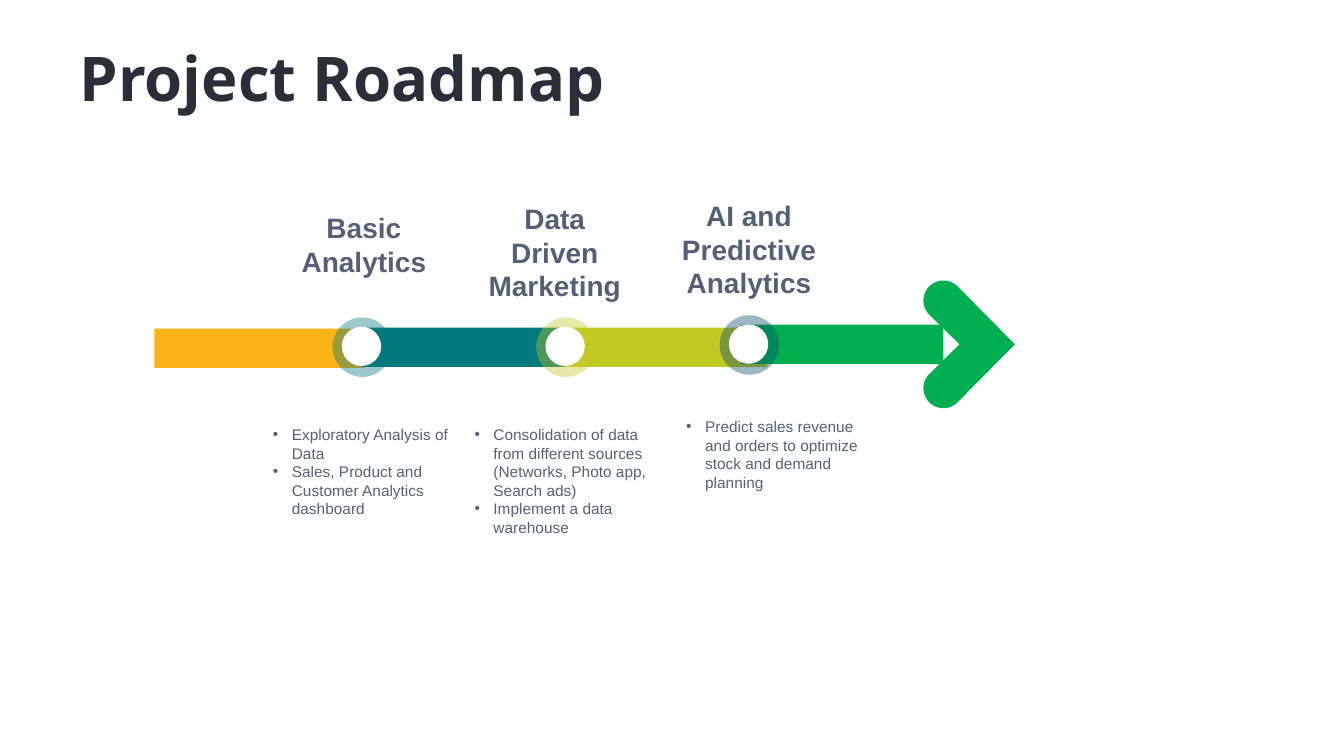
from math import cos, radians, sin

from lxml.etree import SubElement
from pptx import Presentation
from pptx.dml.color import RGBColor
from pptx.enum.shapes import MSO_SHAPE
from pptx.enum.text import MSO_ANCHOR, MSO_AUTO_SIZE, PP_ALIGN
from pptx.oxml.ns import qn
from pptx.util import Pt

COLORS = {
    "title": "282F39",
    "text": "536176",
    "amber": "FCB414",
    "teal": "007A7D",
    "lime": "C2C923",
    "green": "00B050",
    "navy": "074D67",
    "white": "FFFFFF",
}
BAR_HEIGHT = 28.1
RING_SIZE = 42.5
HOLE_SIZE = 28.1
BULLET_INDENT = 13.5

BARS = [
    (110.2, 234.7, 149.8, "amber"),
    (258.5, 234, 144.7, "teal"),
    (403.2, 234, 144.7, "lime"),
    (529.2, 231.8, 144.7, "green"),
]
MILESTONES = [
    {
        "center": (258.8, 248), "ring": "teal",
        "heading": ("Basic Analytics", 207.4, 146.9, 105.1, 55.4),
        "list": (187.9, 300.2, 144, 74.2),
        "items": ["Exploratory Analysis of Data",
                  "Sales, Product and Customer Analytics dashboard"],
    },
    {
        "center": (404.3, 248), "ring": "lime",
        "heading": ("Data Driven Marketing", 336.2, 140.4, 120.2, 80.6),
        "list": (331.9, 300.2, 148.3, 87.1),
        "items": ["Consolidation of data from different sources "
                  "(Networks, Photo app, Search ads)",
                  "Implement a data warehouse"],
    },
    {
        "center": (535.3, 246.4), "ring": "navy",
        "heading": ("AI and Predictive Analytics", 473.8, 138.2, 122.4, 80.6),
        "list": (483.1, 294.5, 144, 47.5),
        "items": ["Predict sales revenue and orders to optimize stock and demand planning"],
    },
]


class Roadmap:
    """Draws roadmap elements on one page in a shared style."""

    def __init__(self, page):
        self.page = page

    def paint(self, shape, color, opacity=None):
        shape.shadow.inherit = False
        shape.fill.solid()
        shape.fill.fore_color.rgb = RGBColor.from_string(COLORS[color])
        shape.line.fill.background()
        if opacity is not None:
            tint = shape.fill._xPr.find(qn("a:solidFill"))[0]
            SubElement(tint, qn("a:alpha"), val=str(opacity * 1000))

    def bar(self, left, top, width, color):
        bar = self.page.shapes.add_shape(
            MSO_SHAPE.RECTANGLE, Pt(left), Pt(top), Pt(width), Pt(BAR_HEIGHT))
        self.paint(bar, color)

    def arrowhead(self, tip, inner, caps, radius, color):
        def cap(center, start):
            return [(center[0] + radius * cos(radians(start - turn)),
                     center[1] + radius * sin(radians(start - turn)))
                    for turn in range(0, 181, 6)]

        upper, lower = caps
        points = [tip, *cap(upper, -45), inner, *cap(lower, -135)]
        corners = [(Pt(x), Pt(y)) for x, y in points]
        outline = self.page.shapes.build_freeform(*corners[0])
        outline.add_line_segments(corners[1:], close=True)
        self.paint(outline.convert_to_shape(), color)

    def marker(self, center, color):
        group = self.page.shapes.add_group_shape()
        x, y = center
        for size, shift, fill, opacity in (
                (RING_SIZE, 0, color, 40), (HOLE_SIZE, -0.6, "white", None)):
            circle = group.shapes.add_shape(
                MSO_SHAPE.OVAL, Pt(x + shift - size / 2), Pt(y + shift - size / 2),
                Pt(size), Pt(size))
            self.paint(circle, fill, opacity)

    def text(self, lines, left, top, width, height, size, color="text", font="Arial",
             bold=False, align=PP_ALIGN.LEFT, bullets=False, spacing=None,
             anchor=MSO_ANCHOR.TOP, grow=True):
        box = self.page.shapes.add_textbox(Pt(left), Pt(top), Pt(width), Pt(height))
        frame = box.text_frame
        frame.word_wrap = True
        frame.vertical_anchor = anchor
        frame.auto_size = MSO_AUTO_SIZE.SHAPE_TO_FIT_TEXT if grow else MSO_AUTO_SIZE.NONE
        for index, line in enumerate(lines):
            para = frame.add_paragraph() if index else frame.paragraphs[0]
            para.text = line
            para.alignment = align
            if spacing:
                para.line_spacing = spacing
            if bullets:
                layout = para._p.get_or_add_pPr()
                layout.set("marL", str(Pt(BULLET_INDENT)))
                layout.set("indent", str(-Pt(BULLET_INDENT)))
                SubElement(layout, qn("a:buFont"), typeface="Arial")
                SubElement(layout, qn("a:buChar"), char="•")
            para.font.name = font
            para.font.size = Pt(size)
            para.font.bold = bold
            para.font.color.rgb = RGBColor.from_string(COLORS[color])


def main():
    deck = Presentation()
    deck.slide_width, deck.slide_height = Pt(960), Pt(540)
    roadmap = Roadmap(deck.slides.add_slide(deck.slide_layouts[6]))

    roadmap.text(["Project Roadmap"], 49.7, 5.8, 828, 104.4, 44, color="title",
                 font="Noto Sans", bold=True, spacing=0.9,
                 anchor=MSO_ANCHOR.MIDDLE, grow=False)
    for bar in BARS:
        roadmap.bar(*bar)
    roadmap.arrowhead(tip=(725, 246), inner=(685.4, 246),
                      caps=[(673.9, 214.7), (673.9, 277.3)], radius=14.3, color="green")
    for milestone in MILESTONES:
        roadmap.marker(milestone["center"], milestone["ring"])
        heading, *place = milestone["heading"]
        roadmap.text([heading], *place, 20, bold=True, align=PP_ALIGN.CENTER)
        roadmap.text(milestone["items"], *milestone["list"], 11, bullets=True)

    deck.save("out.pptx")


if __name__ == "__main__":
    main()
